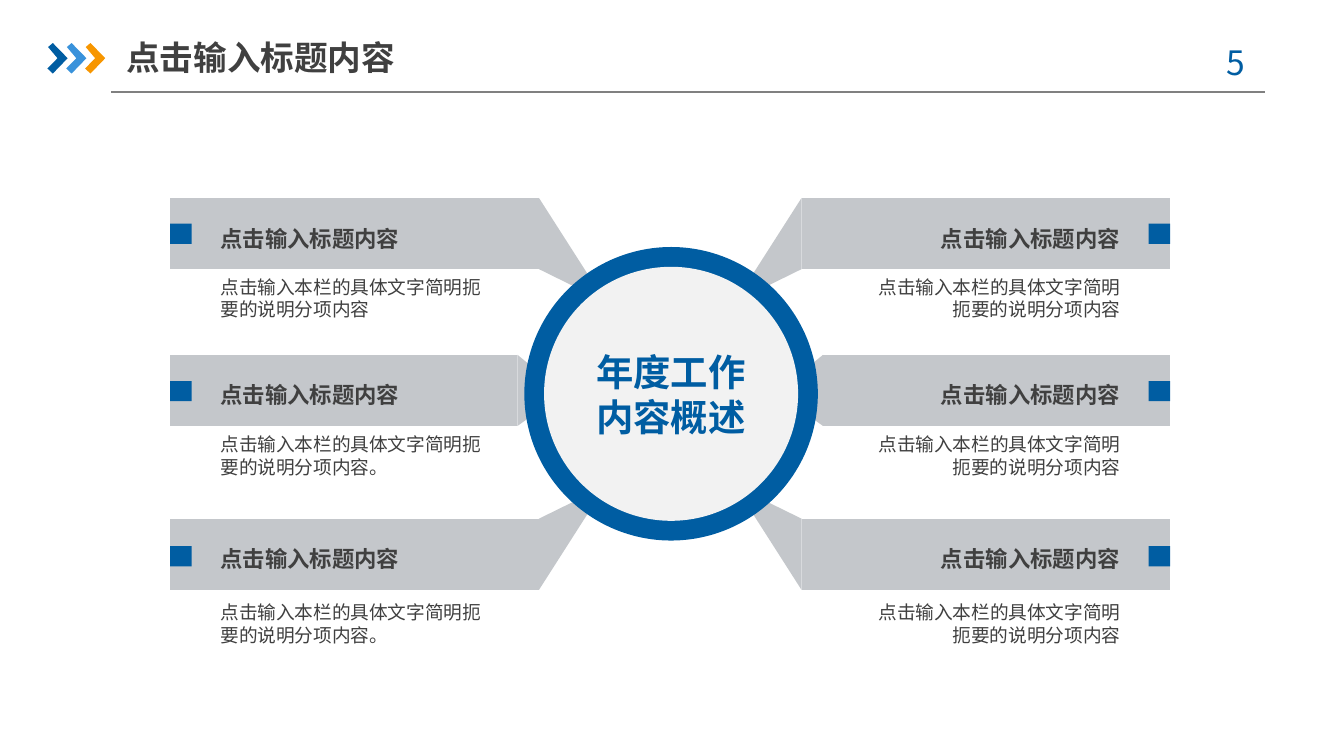
from typing import NamedTuple

from lxml import etree
from pptx import Presentation
from pptx import util as u
from pptx.dml.color import RGBColor
from pptx.enum import shapes, text
from pptx.oxml import ns

BLUE = RGBColor(0x00, 0x5D, 0xA2)
LIGHT_BLUE = RGBColor(0x39, 0x92, 0xDB)
ORANGE = RGBColor(0xF7, 0x96, 0x00)
BAND_GREY = RGBColor(0xC4, 0xC7, 0xCB)
DISC_GREY = RGBColor(0xF2, 0xF2, 0xF2)
RULE_GREY = RGBColor(0x80, 0x80, 0x80)
DARK = RGBColor(0x40, 0x40, 0x40)
FONT = "Noto Sans CJK SC"
LEFT, CENTER, RIGHT = text.PP_ALIGN.LEFT, text.PP_ALIGN.CENTER, text.PP_ALIGN.RIGHT
TOP, MIDDLE = text.MSO_ANCHOR.TOP, text.MSO_ANCHOR.MIDDLE

# The 16:9 slide is a grid of 100 columns by 56.25 rows of square cells.
WIDTH = u.Inches(10)
HEIGHT = u.Emu(WIDTH * 9 // 16)
CELL = WIDTH / 100
CENTER_X, CENTER_Y = 49.93, 29.3  # middle of the ring
OUTER, INNER = 10.92, 9.45  # radii
MIRROR_X = 49.87  # axis between left and right items
EDGE, BAND_HEIGHT = 12.67, 5.3
MARKER_WIDTH, MARKER_HEIGHT = 1.6, 1.5
TEXT_LEFT, HEADING_WIDTH = 16.4, 21.4

Point = tuple[float, float]


class Box(NamedTuple):
    x: float
    y: float
    w: float
    h: float


class Style(NamedTuple):
    size: int
    color: RGBColor
    bold: bool = False


class Row(NamedTuple):
    band_top: float
    band_end: float
    tip: list[Point]
    marker_top: float
    heading_top: float
    body_top: float
    left_body: str


HEADING = "点击输入标题内容"
BODY = "点击输入本栏的具体文字简明扼要的说明分项内容"
TOP_TIP = [(40.1, 14.73), (44.3, 21.3), (43.7, 21.8), (40.1, 20.03)]
MIDDLE_TIP = [(38.5, 26.4), (41.3, 28.7), (41.3, 29.7), (38.5, 31.7)]
BOTTOM_TIP = [(x, 58.63 - y) for x, y in TOP_TIP]
ROWS = [
    Row(14.73, 40.1, TOP_TIP, 16.64, 16.24, 21.5, BODY),
    Row(26.4, 38.5, MIDDLE_TIP, 28.36, 27.9, 33.2, BODY + "。"),
    Row(38.6, 40.1, BOTTOM_TIP, 40.64, 40.04, 45.7, BODY + "。"),
]


def cells(n: float) -> u.Emu:
    return u.Emu(round(n * CELL))


def mirror(x: float) -> float:
    return 2 * MIRROR_X - x


def paint(sp, color: RGBColor) -> None:
    sp.fill.solid()
    sp.fill.fore_color.rgb = color
    sp.line.fill.background()
    sp.shadow.inherit = False


def add_polygon(s, points: list[Point], color: RGBColor) -> None:
    start, *rest = [(cells(x), cells(y)) for x, y in points]
    builder = s.shapes.build_freeform(*start)
    builder.add_line_segments(rest, close=True)
    paint(builder.convert_to_shape(), color)


def add_preset(s, kind, box: Box, color: RGBColor):
    sp = s.shapes.add_shape(kind, *map(cells, box))
    paint(sp, color)
    return sp


def write(tf, lines: list[str], style: Style, align) -> None:
    for i, line in enumerate(lines):
        p = tf.add_paragraph() if i else tf.paragraphs[0]
        p.alignment = align
        r = p.add_run()
        r.text = line
        r.font.size = u.Pt(style.size)
        r.font.bold = style.bold
        r.font.color.rgb = style.color
        r.font.name = FONT
        etree.SubElement(r.font._element, ns.qn("a:ea"), typeface=FONT)


def add_text(s, box: Box, line: str, style: Style, align=LEFT, anchor=TOP, inset: float = 0) -> None:
    tf = s.shapes.add_textbox(*map(cells, box)).text_frame
    tf.word_wrap = True
    tf.vertical_anchor = anchor
    tf.margin_left = tf.margin_right = cells(inset)
    write(tf, [line], style, align)


def add_header(s) -> None:
    rule = s.shapes.add_connector(
        shapes.MSO_CONNECTOR.STRAIGHT, cells(8.27), cells(6.84), cells(94.1), cells(6.84))
    rule.line.color.rgb = RULE_GREY
    rule.line.width = u.Pt(0.75)
    etree.SubElement(rule._element.spPr, ns.qn("a:effectLst"))
    chevron = [(0.05, 3.5), (0.4, 3.2), (1.5, 4.33), (0.4, 5.47), (0, 5.1), (0.75, 4.33)]
    for i, color in enumerate((BLUE, LIGHT_BLUE, ORANGE)):
        add_polygon(s, [(3.53 + 1.4 * i + x, y) for x, y in chevron], color)
    add_text(s, Box(88.6, 2.6, 7.3, 4), "5 ", Style(18, BLUE), CENTER, inset=1)
    add_text(s, Box(9.4, 2.16, 23.3, 4.2), HEADING, Style(18, DARK, True), anchor=MIDDLE)


def add_item(s, row: Row, on_right: bool) -> None:
    """Draw one band with its tip, marker and texts; the right side mirrors the left."""
    def place(x: float) -> float:
        return mirror(x) if on_right else x

    def side_box(x: float, y: float, w: float, h: float) -> Box:
        return Box(mirror(x) - w if on_right else x, y, w, h)

    align = RIGHT if on_right else LEFT
    band = side_box(EDGE, row.band_top, row.band_end - EDGE, BAND_HEIGHT)
    bottom = band.y + band.h
    add_polygon(s, [(band.x, band.y), (band.x, bottom),
                    (band.x + band.w, bottom), (band.x + band.w, band.y)], BAND_GREY)
    add_polygon(s, [(place(x), y) for x, y in row.tip], BAND_GREY)
    add_preset(s, shapes.MSO_SHAPE.RECTANGLE,
               side_box(EDGE, row.marker_top, MARKER_WIDTH, MARKER_HEIGHT), BLUE)
    add_text(s, side_box(TEXT_LEFT, row.heading_top, HEADING_WIDTH, 3.1),
             HEADING, Style(12, DARK, True), align)
    add_text(s, side_box(TEXT_LEFT, row.body_top, 18.4 if on_right else 19.5, 1.4),
             BODY if on_right else row.left_body, Style(10, DARK), align, MIDDLE)


def add_disc(s, radius: float, color: RGBColor):
    box = Box(CENTER_X - radius, CENTER_Y - radius, 2 * radius, 2 * radius)
    return add_preset(s, shapes.MSO_SHAPE.OVAL, box, color)


def main() -> None:
    prs = Presentation()
    prs.slide_width, prs.slide_height = WIDTH, HEIGHT
    s = prs.slides.add_slide(prs.slide_layouts[6])
    add_header(s)
    for row in ROWS:
        for on_right in (False, True):
            add_item(s, row, on_right)
    add_disc(s, OUTER, BLUE)
    tf = add_disc(s, INNER, DISC_GREY).text_frame
    tf.vertical_anchor = MIDDLE
    write(tf, ["年度工作", "内容概述"], Style(20, BLUE, True), CENTER)
    prs.save("out.pptx")


if __name__ == "__main__":
    main()
